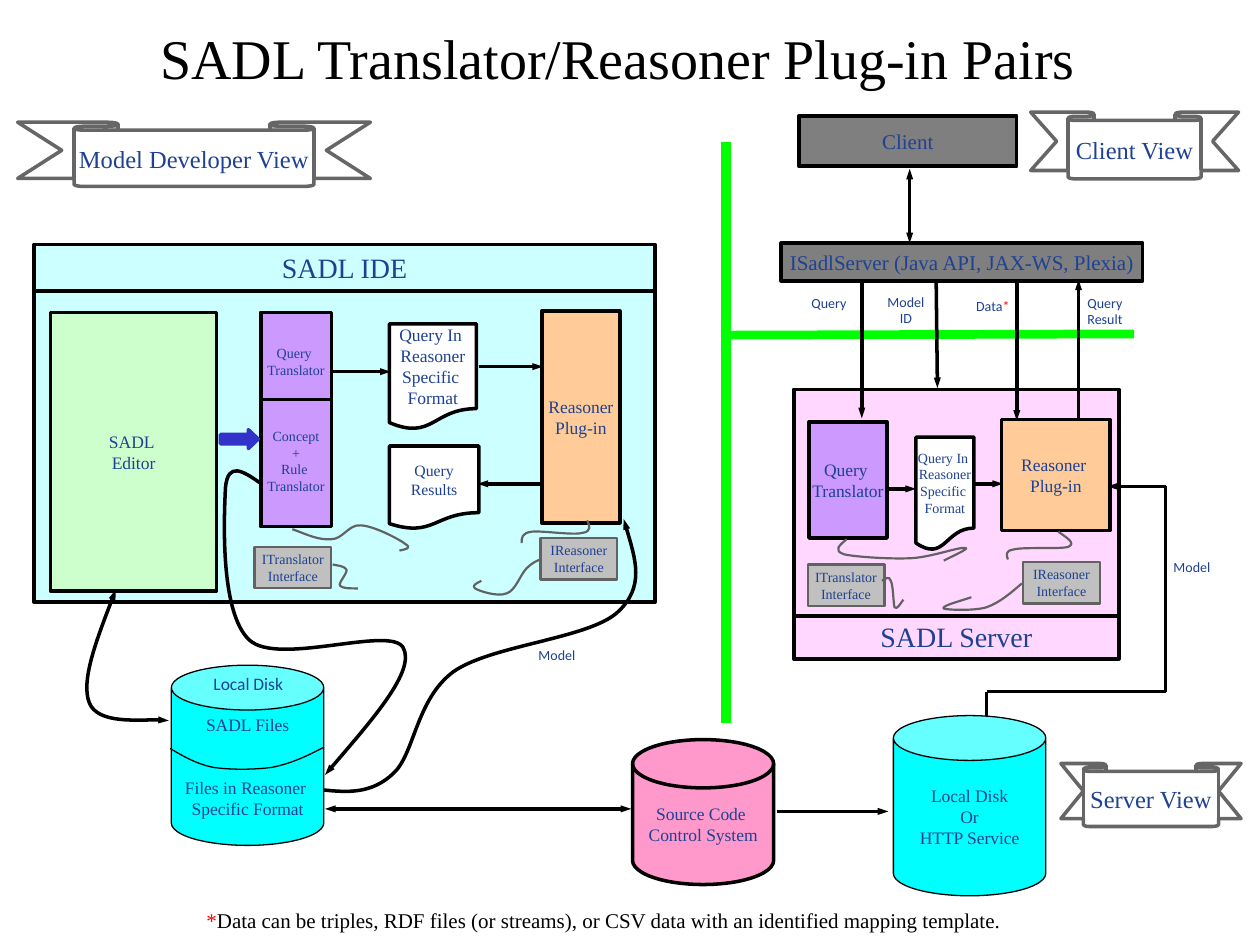
from itertools import pairwise

from lxml.etree import SubElement
from pptx import Presentation
from pptx.dml.color import RGBColor
from pptx.enum.shapes import MSO_CONNECTOR, MSO_SHAPE as SHAPE
from pptx.enum.text import MSO_ANCHOR as ANCHOR, PP_ALIGN as ALIGN
from pptx.oxml.ns import qn
from pptx.util import Inches, Pt

BLACK = RGBColor(0x00, 0x00, 0x00)
WHITE = RGBColor(0xFF, 0xFF, 0xFF)
RED = RGBColor(0xFF, 0x00, 0x00)
NAVY = RGBColor(0x1E, 0x41, 0x91)
BLUE = RGBColor(0x33, 0x33, 0xCC)
LIME = RGBColor(0x00, 0xFF, 0x00)
CYAN = RGBColor(0x00, 0xFF, 0xFF)
PALE_CYAN = RGBColor(0xCC, 0xFF, 0xFF)
PALE_GREEN = RGBColor(0xCC, 0xFF, 0xCC)
PURPLE = RGBColor(0xCC, 0x99, 0xFF)
ORANGE = RGBColor(0xFF, 0xCC, 0x99)
PINK = RGBColor(0xFF, 0x99, 0xCC)
PALE_PINK = RGBColor(0xFF, 0xD7, 0xFF)
SILVER = RGBColor(0xC0, 0xC0, 0xC0)
GREY = RGBColor(0x62, 0x62, 0x62)
RIBBON_GREY = RGBColor(0x66, 0x66, 0x66)

SERIF, SANS = "Times New Roman", "Calibri"
READER_QUERY = "Query In \nReasoner\nSpecific \nFormat"


class Diagram:
    def __init__(self, prs):
        self.s = prs.slides.add_slide(prs.slide_layouts[6])
        self.shapes = self.s.shapes

    def set_text(self, sp, text, size, font=SERIF, color=NAVY, anchor=ANCHOR.MIDDLE,
                 wrap=False, align=ALIGN.CENTER, gaps=None, spacing=None):
        """Fill a shape with lines of text; gaps maps a line number to space before."""
        tf = sp.text_frame
        tf.word_wrap, tf.vertical_anchor = wrap, anchor
        for i, line in enumerate(text.split("\n")):
            p = tf.paragraphs[0] if i == 0 else tf.add_paragraph()
            style = {"alignment": align, "line_spacing": spacing}
            if gaps and i in gaps:
                style["space_before"] = Pt(gaps[i])
            for name, value in style.items():
                setattr(p, name, value)
            for part in filter(None, line.partition("*")):
                r = p.add_run()
                r.text = part
                for name, value in {"name": font, "size": Pt(size)}.items():
                    setattr(r.font, name, value)
                r.font.color.rgb = RED if part == "*" else color

    def stroke(self, sp, color, width, ends=""):
        """Style a line; ends holds '<' and '>' for the arrowheads wanted."""
        sp.line.color.rgb, sp.line.width = color, Pt(width)
        ln = sp._element.spPr.find(qn("a:ln"))
        for mark, tag in (("<", "a:headEnd"), (">", "a:tailEnd")):
            if mark in ends:
                SubElement(ln, qn(tag), type="triangle", w="sm", len="med")

    def box(self, at, text, size, fill, kind=SHAPE.RECTANGLE, line=BLACK, width=2,
            adj=(), alpha=None, **style):
        sp = self.shapes.add_shape(kind, *map(Inches, at))
        sp.shadow.inherit = False
        for i, value in enumerate(adj):
            sp.adjustments[i] = value
        sp.fill.solid()
        sp.fill.fore_color.rgb = fill
        if alpha:
            clr = sp._element.spPr.find(qn("a:solidFill"))[0]
            SubElement(clr, qn("a:alpha"), val=str(alpha * 1000))
        self.stroke(sp, line, width)
        if text:
            self.set_text(sp, text, size, **style)

    def label(self, at, text, size=8, font=SANS, anchor=ANCHOR.TOP, wrap=True, **style):
        sp = self.shapes.add_textbox(*map(Inches, at))
        self.set_text(sp, text, size, font, anchor=anchor, wrap=wrap, **style)

    def line(self, start, end, ends="", color=BLACK, width=2):
        c = self.shapes.add_connector(MSO_CONNECTOR.STRAIGHT, *map(Inches, start + end))
        self.stroke(c, color, width, ends)
        SubElement(c._element.spPr, qn("a:effectLst"))

    def curve(self, points, ends="", color=BLACK, width=2):
        """Draw a chain of Bezier arcs: a start, then three points for each arc."""
        pts = [(Inches(x), Inches(y)) for x, y in points]
        builder = self.shapes.build_freeform(*pts[0])
        builder.add_line_segments(pts[1:], close=False)
        sp = builder.convert_to_shape()
        sp.shadow.inherit = False
        sp.fill.background()
        self.stroke(sp, color, width, ends)
        geom = next(sp._element.iter(qn("a:path")))
        for i, segment in enumerate(geom.findall(qn("a:lnTo"))):
            if i % 3 == 0:
                arc = SubElement(geom, qn("a:cubicBezTo"))
            arc.append(segment[0])
            geom.remove(segment)


def main():
    prs = Presentation()
    prs.slide_width, prs.slide_height = Inches(10), Inches(7.5)
    d = Diagram(prs)

    # Title and view ribbons
    d.label((0.28, 0.11, 9.25, 0.68), "SADL Translator/Reasoner Plug-in Pairs", 32, SERIF,
            ANCHOR.MIDDLE, color=BLACK)
    for at, text, span in (((0.14, 0.97, 2.8, 0.51), "Model Developer View", 0.68),
                           ((8.18, 0.89, 1.65, 0.53), "Client View", 0.64),
                           ((8.42, 6.06, 1.43, 0.5), "Server View", 0.75)):
        d.box(at, text, 14, WHITE, SHAPE.DOWN_RIBBON, RIBBON_GREY, adj=(0.125, span))

    # Client and server panels
    d.box((6.34, 0.92, 1.73, 0.4), "Client", 12, BLACK, alpha=50)
    d.box((6.2, 1.93, 2.87, 0.3), "ISadlServer (Java API, JAX-WS, Plexia)", 12, BLACK, alpha=50)
    d.box((6.3, 3.09, 2.58, 2.14), "SADL Server", 16, PALE_PINK, anchor=ANCHOR.BOTTOM)
    d.line((6.31, 4.89), (8.89, 4.89))
    d.box((6.42, 3.35, 0.62, 0.92), "Query \nTranslator", 10, PURPLE)
    d.box((7.95, 3.33, 0.86, 0.88), "Reasoner \nPlug-in", 10, ORANGE)
    d.box((7.27, 3.47, 0.46, 0.9), READER_QUERY, 8, WHITE, SHAPE.FLOWCHART_DOCUMENT)

    # IDE panel
    d.box((0.27, 1.94, 4.93, 2.84), "SADL IDE", 16, PALE_CYAN, anchor=ANCHOR.TOP)
    d.line((0.27, 2.31), (5.2, 2.31))
    d.box((0.4, 2.48, 1.32, 2.21), "SADL \nEditor", 10, PALE_GREEN)
    d.box((2.07, 2.48, 0.56, 1.7), "Query \nTranslator\nConcept\n+\nRule \nTranslator", 8, PURPLE,
          gaps={2: 28})
    d.line((2.07, 3.17), (2.64, 3.17))
    d.box((4.3, 2.47, 0.62, 1.68), "Reasoner\nPlug-in", 10, ORANGE)
    d.box((3.09, 2.57, 0.69, 0.84), READER_QUERY, 10, WHITE, SHAPE.FLOWCHART_DOCUMENT)
    d.box((3.09, 3.54, 0.71, 0.66), "Query\nResults", 9, WHITE, SHAPE.FLOWCHART_DOCUMENT)
    d.box((1.75, 3.41, 0.3, 0.15), "", 0, BLUE, SHAPE.RIGHT_ARROW, BLUE, adj=(0.5, 0.52))

    # Interface tags
    for x, y, name in ((2.02, 4.34, "ITranslator"), (4.29, 4.27, "IReasoner"),
                       (6.41, 4.48, "ITranslator"), (8.12, 4.46, "IReasoner")):
        d.box((x, y, 0.61, 0.33), name + "\nInterface", 8, SILVER, line=GREY, width=1.25)

    # Storage
    d.box((5.02, 5.87, 1.12, 1.15), "Source Code \nControl System", 10, PINK,
          SHAPE.FLOWCHART_MAGNETIC_DISK)
    for x, y, text, gaps in (
            (1.36, 5.28, "SADL Files\nFiles in Reasoner \nSpecific Format", {1: 24}),
            (7.09, 5.68, "Local Disk\nOr\nHTTP Service", None)):
        d.box((x, y, 1.21, 1.43), text, 10, CYAN, SHAPE.CAN, width=0.75, adj=(0.294,), gaps=gaps)
    d.label((1.4, 5.29, 1.14, 0.27), "Local Disk", 10)
    d.curve([(2.57, 5.93), (2.44, 6), (2.31, 6.06), (2.16, 6.09), (2.02, 6.11), (1.82, 6.11),
             (1.69, 6.09), (1.55, 6.06), (1.45, 6), (1.35, 5.94)], width=0.75)

    # Dividers between the views
    d.line((5.76, 1.13), (5.76, 5.74), color=LIME, width=5.75)
    d.line((5.77, 2.66), (9, 2.65), color=LIME, width=5)

    # Straight arrows
    for start, end, ends in (
            ((5.01, 6.42), (2.58, 6.42), "<>"), ((6.17, 6.44), (7.05, 6.44), ">"),
            ((4.3, 3.84), (3.79, 3.84), ">"), ((2.64, 2.95), (3.1, 2.95), ">"),
            ((3.8, 2.91), (4.31, 2.91), ">"), ((7.22, 1.34), (7.22, 1.93), "<>"),
            ((6.84, 2.22), (6.84, 3.32), ">"), ((7.43, 2.23), (7.44, 3.08), ">"),
            ((8.07, 2.22), (8.07, 3.34), ">"), ((8.56, 2.22), (8.56, 3.34), "<"),
            ((7.05, 3.88), (7.27, 3.88), ">"), ((7.74, 3.84), (7.96, 3.84), ">")):
        d.line(start, end, ends)

    # Model route from the server disk to its reasoner
    route = [(7.83, 5.68), (7.83, 5.49), (9.25, 5.49), (9.25, 3.86), (8.79, 3.86)]
    for start, end in pairwise(route):
        d.line(start, end, ">" if end == route[-1] else "")

    # Curved arrows around the local disk
    d.curve([(0.92, 4.68), (0.78, 5.04), (0.64, 5.41), (0.71, 5.58), (0.78, 5.75), (1.24, 5.7),
             (1.34, 5.72)], "<>")
    d.curve([(2.57, 6.27), (2.76, 6.29), (2.95, 6.3), (3.12, 6.14), (3.29, 5.99), (3.3, 5.55),
             (3.6, 5.33), (3.9, 5.12), (4.67, 5.07), (4.9, 4.86), (5.12, 4.66), (5.03, 4.39),
             (4.95, 4.12)], ">")
    d.curve([(2.06, 3.83), (1.93, 3.74), (1.81, 3.66), (1.79, 3.87), (1.78, 4.08), (1.74, 4.86),
             (1.98, 5.08), (2.21, 5.29), (3.1, 4.96), (3.2, 5.14), (3.3, 5.32), (2.94, 5.73),
             (2.58, 6.15)], ">")

    # Interface squiggles
    for points in (
            [(2.84, 4.67), (2.78, 4.67), (2.72, 4.67), (2.7, 4.65), (2.68, 4.63), (2.76, 4.55),
             (2.75, 4.52), (2.73, 4.49), (2.68, 4.49), (2.64, 4.48)],
            [(3.17, 4.37), (3.22, 4.36), (3.27, 4.35), (3.22, 4.32), (3.17, 4.28), (2.96, 4.17),
             (2.86, 4.17), (2.77, 4.16), (2.72, 4.28), (2.63, 4.28), (2.53, 4.29), (2.43, 4.24),
             (2.32, 4.2)],
            [(3.82, 4.61), (3.78, 4.63), (3.74, 4.65), (3.77, 4.67), (3.8, 4.69), (3.95, 4.74),
             (4.02, 4.71), (4.09, 4.69), (4.13, 4.56), (4.18, 4.51), (4.22, 4.47), (4.26, 4.45),
             (4.29, 4.44)],
            [(4.14, 4.31), (4.14, 4.27), (4.14, 4.23), (4.22, 4.22), (4.3, 4.21), (4.55, 4.25),
             (4.62, 4.23), (4.7, 4.22), (4.68, 4.17), (4.66, 4.13)],
            [(7.17, 4.76), (7.14, 4.8), (7.12, 4.84), (7.1, 4.82), (7.09, 4.79), (7.09, 4.64),
             (7.07, 4.61), (7.06, 4.57), (7.03, 4.59), (7, 4.61)],
            [(6.72, 4.28), (6.66, 4.33), (6.61, 4.37), (6.7, 4.4), (6.78, 4.42), (7.08, 4.44),
             (7.24, 4.43), (7.4, 4.42), (7.61, 4.34), (7.66, 4.35), (7.7, 4.35), (7.59, 4.4),
             (7.49, 4.45)],
            [(8.11, 4.63), (8.03, 4.7), (7.94, 4.78), (7.83, 4.82), (7.73, 4.85), (7.51, 4.84),
             (7.49, 4.83), (7.47, 4.81), (7.59, 4.78), (7.71, 4.74)],
            [(8.4, 4.22), (8.47, 4.27), (8.54, 4.31), (8.48, 4.34), (8.42, 4.36), (8.13, 4.34),
             (8.05, 4.36), (7.97, 4.37), (7.99, 4.41), (8, 4.44)]):
        d.curve(points, color=GREY, width=1.25)

    # Arrow labels and footnote
    d.label((6.33, 2.29, 0.5, 0.23), "Query")
    d.label((7.6, 2.31, 0.56, 0.24), "Data*")
    for x, y, h, text in ((6.94, 2.34, 0.3, "Model\nID"), (8.52, 2.35, 0.3, "Query\nResult"),
                          (9.21, 4.44, 0.17, "Model"), (4.17, 5.14, 0.17, "Model")):
        d.label((x, y, 0.5, h), text, spacing=0.5, gaps={1: 4})
    d.label((1.54, 7.15, 6.64, 0.3), "*Data can be triples, RDF files (or streams), or CSV data "
            "with an identified mapping template.", 12, SERIF, wrap=False, align=ALIGN.LEFT,
            color=BLACK)

    prs.save("out.pptx")


if __name__ == "__main__":
    main()
